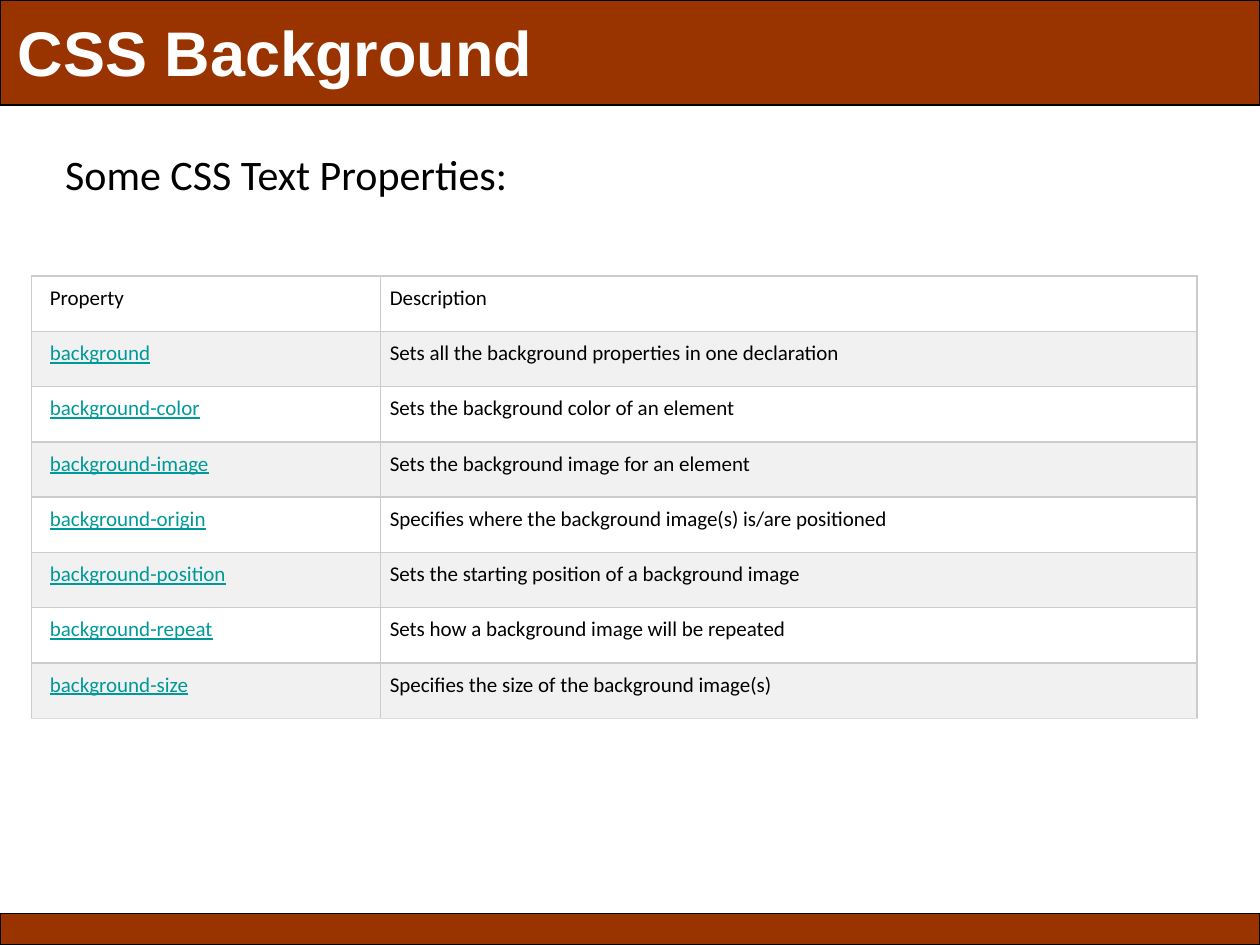
from lxml import etree
from pptx import Presentation
from pptx.dml.color import RGBColor
from pptx.enum import shapes, text
from pptx.oxml import ns
from pptx.util import Pt

COLORS = {
    "brand": "993300", "white": "FFFFFF", "black": "000000", "link": "009999",
    "band": "F1F1F1", "border": "CCCCCC", "last_border": "DDDDDD",
}
WIDTH, HEIGHT = 720, 540
PROPERTIES = [
    ("Property", "Description"),
    ("background", "Sets all the background properties in one declaration"),
    ("background-color", "Sets the background color of an element"),
    ("background-image", "Sets the background image for an element"),
    ("background-origin", "Specifies where the background image(s) is/are positioned"),
    ("background-position", "Sets the starting position of a background image"),
    ("background-repeat", "Sets how a background image will be repeated"),
    ("background-size", "Specifies the size of the background image(s)"),
]


def rgb(name):
    return RGBColor.from_string(COLORS[name])


def add_run(paragraph, words, size, color, font="Calibri", bold=False, underline=False):
    run = paragraph.add_run()
    run.text = words
    run.font.size = Pt(size)
    run.font.name = font
    run.font.bold = bold
    run.font.underline = underline
    run.font.color.rgb = rgb(color)


def place(placeholder, box):
    left, top, width, height = map(Pt, box)
    placeholder.left, placeholder.top = left, top
    placeholder.width, placeholder.height = width, height
    frame = placeholder.text_frame
    frame.word_wrap = True
    frame.auto_size = text.MSO_AUTO_SIZE.SHAPE_TO_FIT_TEXT
    paragraph = frame.paragraphs[0]
    paragraph.alignment = text.PP_ALIGN.LEFT
    paragraph.space_before = Pt(0)
    return paragraph


def add_bar(slide, box):
    bar = slide.shapes.add_shape(shapes.MSO_SHAPE.RECTANGLE, *map(Pt, box))
    bar.shadow.inherit = False
    bar.fill.solid()
    bar.fill.fore_color.rgb = rgb("brand")
    bar.line.color.rgb = rgb("black")
    bar.line.width = Pt(0.75)
    # Bars lie behind the title
    slide.shapes.title.element.addprevious(bar.element)


def add_heading(slide, box):
    paragraph = place(slide.shapes.title, box)
    add_run(paragraph, "CSS Background", 36, "white", font="Arial", bold=True)


def add_intro(slide, box):
    paragraph = place(slide.placeholders[1], box)
    add_run(paragraph, "Some CSS Text Properties:", 24, "black")
    props = paragraph.runs[0].font._element.getparent().getparent().get_or_add_pPr()
    props.set("marL", "0")
    props.set("indent", "0")
    etree.SubElement(props, ns.qn("a:buNone"))


def set_borders(cell, bottom):
    props = cell._tc.get_or_add_tcPr()
    sides = {"lnL": "border", "lnR": "border", "lnT": "border", "lnB": bottom}
    for position, (side, color) in enumerate(sides.items()):
        line = etree.Element(ns.qn(f"a:{side}"), w=str(Pt(1)))
        fill = etree.SubElement(line, ns.qn("a:solidFill"))
        etree.SubElement(fill, ns.qn("a:srgbClr"), val=COLORS[color])
        props.insert(position, line)


def add_properties(slide, box):
    left, top, width, height = box
    count = len(PROPERTIES)
    table = slide.shapes.add_table(count, 2, *map(Pt, box)).table
    name_width = 199.5
    table.columns[0].width = Pt(name_width)
    table.columns[1].width = Pt(width - name_width)
    for r, row in enumerate(PROPERTIES):
        table.rows[r].height = Pt(height / count)
        for c, words in enumerate(row):
            cell = table.cell(r, c)
            cell.margin_left = Pt(5.25 if c else 10.5)
            cell.margin_right = cell.margin_top = cell.margin_bottom = Pt(5.25)
            cell.fill.solid()
            cell.fill.fore_color.rgb = rgb("band" if r % 2 else "white")
            is_link = r > 0 and c == 0
            add_run(cell.text_frame.paragraphs[0], words, 12,
                    "link" if is_link else "black", underline=is_link)
            set_borders(cell, "last_border" if r == count - 1 else "border")


def main():
    deck = Presentation()
    deck.slide_width, deck.slide_height = Pt(WIDTH), Pt(HEIGHT)
    slide = deck.slides.add_slide(deck.slide_layouts[1])

    # Footer and header bars
    add_bar(slide, (0, HEIGHT - 18, WIDTH, 18))
    add_bar(slide, (0, 0, WIDTH, 60))

    # Title, introduction and property table
    add_heading(slide, (3, 3.6, 528, 51))
    add_intro(slide, (30, 81.4, 654, 36))
    add_properties(slide, (18, 157.8, 666, 252.8))

    deck.save("out.pptx")


if __name__ == "__main__":
    main()
